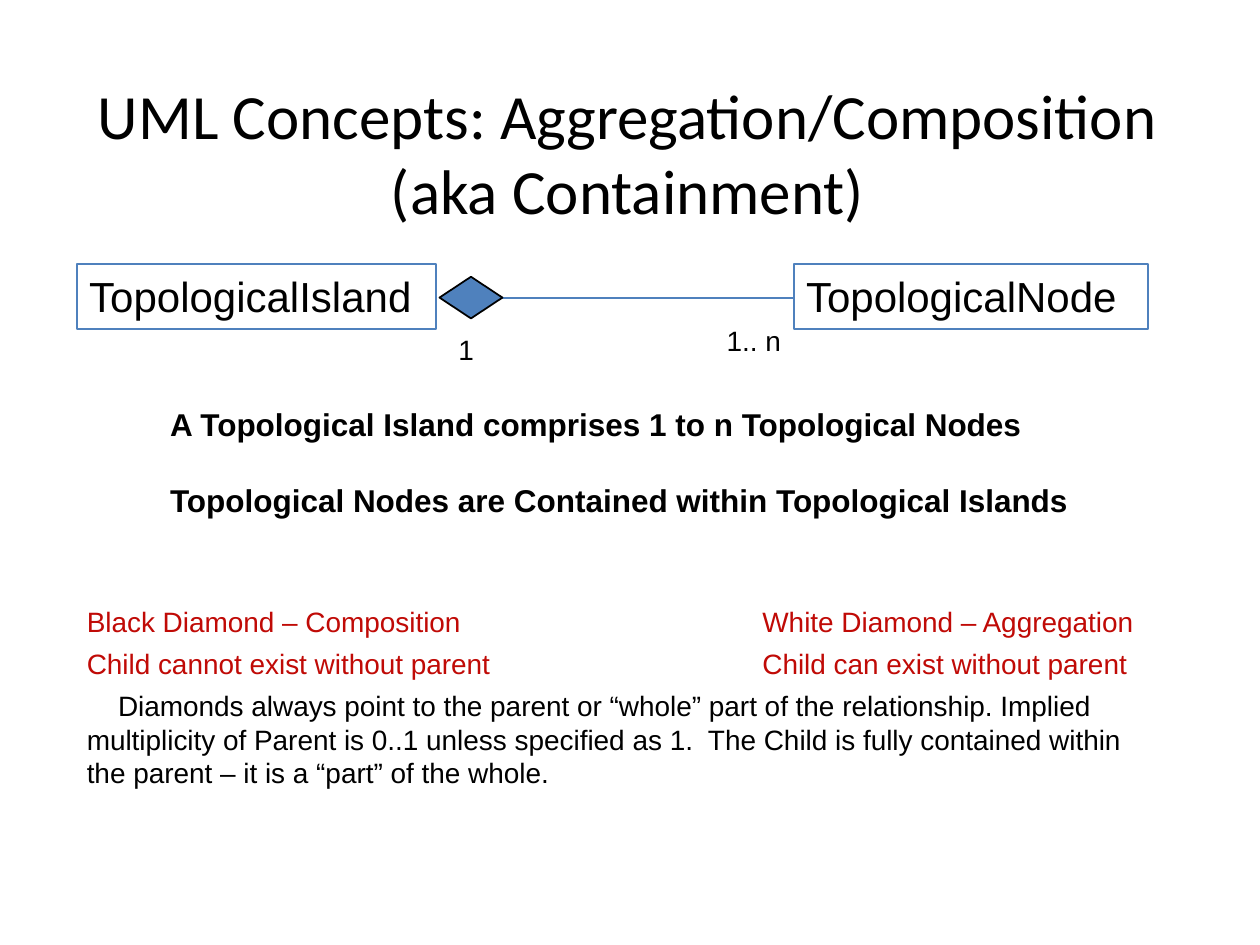
"""Build the UML aggregation and composition slide."""
from dataclasses import dataclass

from lxml import etree
from pptx import Presentation
from pptx.dml.color import RGBColor
from pptx.enum import shapes, text
from pptx.oxml import ns
from pptx.util import Cm, Pt

BLACK = RGBColor(0x00, 0x00, 0x00)
BLUE = RGBColor(0x4F, 0x81, 0xBD)
RED = RGBColor(0xC0, 0x0A, 0x06)
AXIS_Y = 6.0
CLASS_TOP, CLASS_HEIGHT = 5.33, 1.3
DIAMOND_WIDTH, DIAMOND_HEIGHT = 1.27, 0.84
COLUMN_TAB = 13.62


@dataclass(frozen=True)
class Box:
    left: float
    top: float
    width: float
    height: float

    def lengths(self) -> tuple:
        return Cm(self.left), Cm(self.top), Cm(self.width), Cm(self.height)


@dataclass(frozen=True)
class Line:
    words: str
    size: float
    color: RGBColor = BLACK
    bold: bool = False
    space_before: float = 0
    indent: float = 0
    tab: float = 0


def add_run(paragraph, line: Line, font_name: str = "Arial") -> None:
    run = paragraph.add_run()
    run.text = line.words
    run.font.name = font_name
    run.font.size = Pt(line.size)
    run.font.bold = line.bold
    run.font.color.rgb = line.color


def write_lines(frame, lines: list[Line]) -> None:
    frame.word_wrap = True
    frame.vertical_anchor = text.MSO_ANCHOR.TOP
    for index, line in enumerate(lines):
        paragraph = frame.add_paragraph() if index else frame.paragraphs[0]
        paragraph.alignment = text.PP_ALIGN.LEFT
        properties = paragraph._p.get_or_add_pPr()
        if line.indent:
            properties.set("indent", str(Cm(line.indent)))
        if line.tab:
            tabs = etree.SubElement(properties, ns.qn("a:tabLst"))
            etree.SubElement(tabs, ns.qn("a:tab"), pos=str(Cm(line.tab)), algn="l")
        paragraph.space_before = Pt(line.space_before)
        add_run(paragraph, line)


def add_text(slide, box: Box, lines: list[Line]) -> None:
    write_lines(slide.shapes.add_textbox(*box.lengths()).text_frame, lines)


def add_class(slide, name: str, left: float, width: float) -> None:
    box = Box(left, CLASS_TOP, width, CLASS_HEIGHT)
    shape = slide.shapes.add_shape(shapes.MSO_SHAPE.RECTANGLE, *box.lengths())
    shape.shadow.inherit = False
    shape.fill.background()
    shape.line.color.rgb = BLUE
    shape.line.width = Pt(1)
    write_lines(shape.text_frame, [Line(name, 24)])


def add_composition(slide, left: float, right: float) -> None:
    connector = slide.shapes.add_connector(
        shapes.MSO_CONNECTOR.STRAIGHT,
        Cm(left + DIAMOND_WIDTH), Cm(AXIS_Y), Cm(right), Cm(AXIS_Y))
    connector.line.color.rgb = BLUE
    connector.line.width = Pt(1)
    etree.SubElement(connector._element.spPr, ns.qn("a:effectLst"))
    box = Box(left, AXIS_Y - DIAMOND_HEIGHT / 2, DIAMOND_WIDTH, DIAMOND_HEIGHT)
    diamond = slide.shapes.add_shape(shapes.MSO_SHAPE.DIAMOND, *box.lengths())
    diamond.shadow.inherit = False
    diamond.fill.solid()
    diamond.fill.fore_color.rgb = BLUE
    diamond.line.color.rgb = BLACK
    diamond.line.width = Pt(1)


def add_title(slide, box: Box, words: str) -> None:
    title = slide.shapes.title
    title.left, title.top, title.width, title.height = box.lengths()
    frame = title.text_frame
    frame.vertical_anchor = text.MSO_ANCHOR.MIDDLE
    frame.paragraphs[0].alignment = text.PP_ALIGN.CENTER
    add_run(frame.paragraphs[0], Line(words, 36), "Calibri")


def main() -> None:
    presentation = Presentation()
    presentation.slide_width, presentation.slide_height = Cm(25.4), Cm(19.05)
    slide = presentation.slides.add_slide(presentation.slide_layouts[5])
    add_title(slide, Box(1.22, 1.47, 22.86, 3.18),
              "UML Concepts: Aggregation/Composition (aka Containment)")
    add_class(slide, "TopologicalIsland", 1.55, 7.24)
    add_class(slide, "TopologicalNode", 16, 7.14)
    add_text(slide, Box(8.99, 6.58, 1.02, 0.94), [Line("1", 16)])
    add_text(slide, Box(14.4, 6.4, 1.85, 0.94), [Line("1.. n", 16)])
    add_text(slide, Box(3.18, 8.05, 19.25, 3.33), [
        Line("A Topological Island comprises 1 to n Topological Nodes", 18, bold=True),
        Line("Topological Nodes are Contained within Topological Islands", 18,
             bold=True, space_before=21.5),
    ])
    add_composition(slide, 8.86, 16)
    add_text(slide, Box(1.5, 12.07, 22.3, 4.06), [
        Line("Black Diamond – Composition\tWhite Diamond – Aggregation", 16, RED,
             tab=COLUMN_TAB),
        Line("Child cannot exist without parent\tChild can exist without parent", 16, RED,
             space_before=4.8, tab=COLUMN_TAB),
        Line("Diamonds always point to the parent or “whole” part of the relationship. "
             "Implied multiplicity of Parent is 0..1 unless specified as 1.  The Child is "
             "fully contained within the parent – it is a “part” of the whole.", 16,
             space_before=4.8, indent=0.63),
    ])
    presentation.save("out.pptx")


if __name__ == "__main__":
    main()
